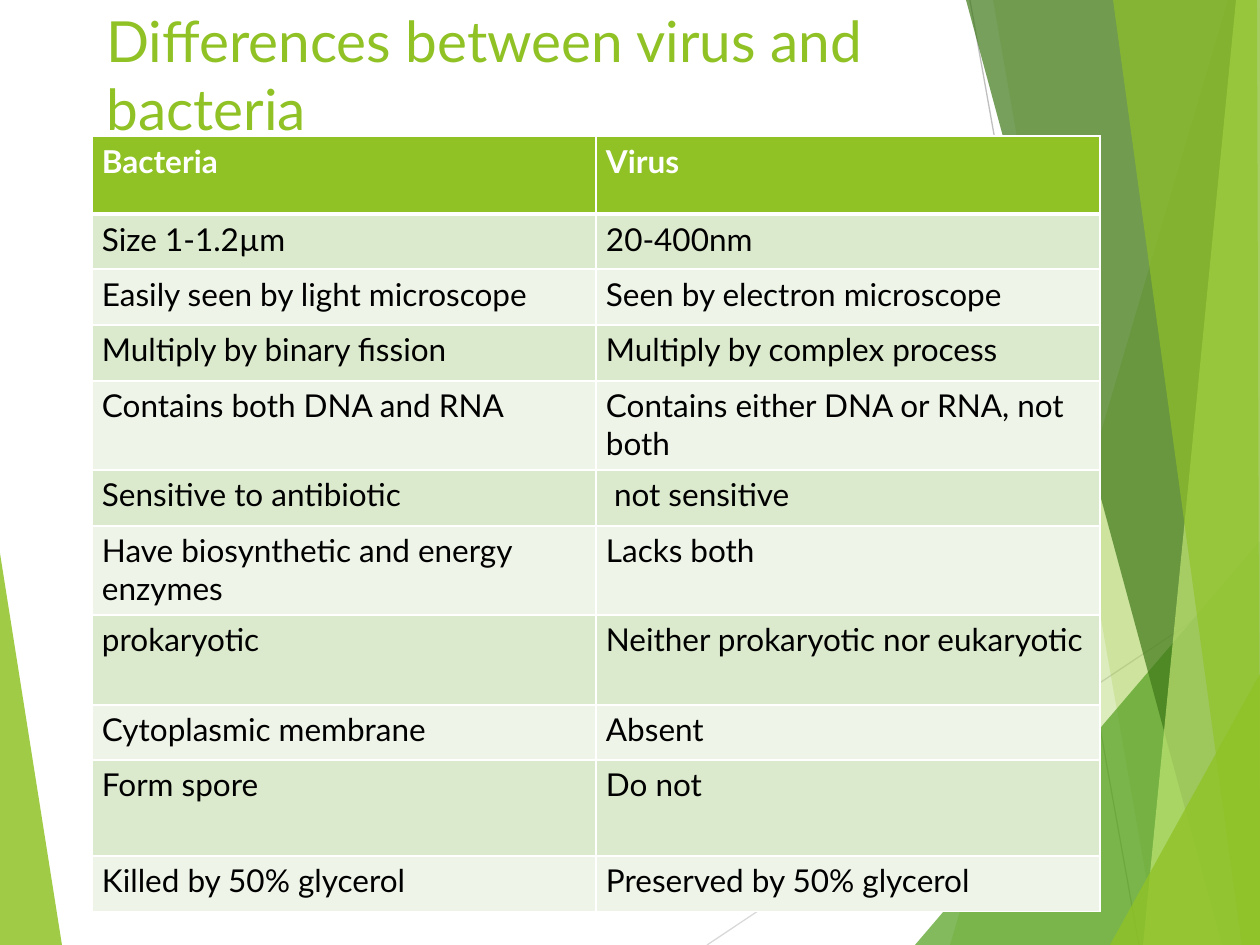
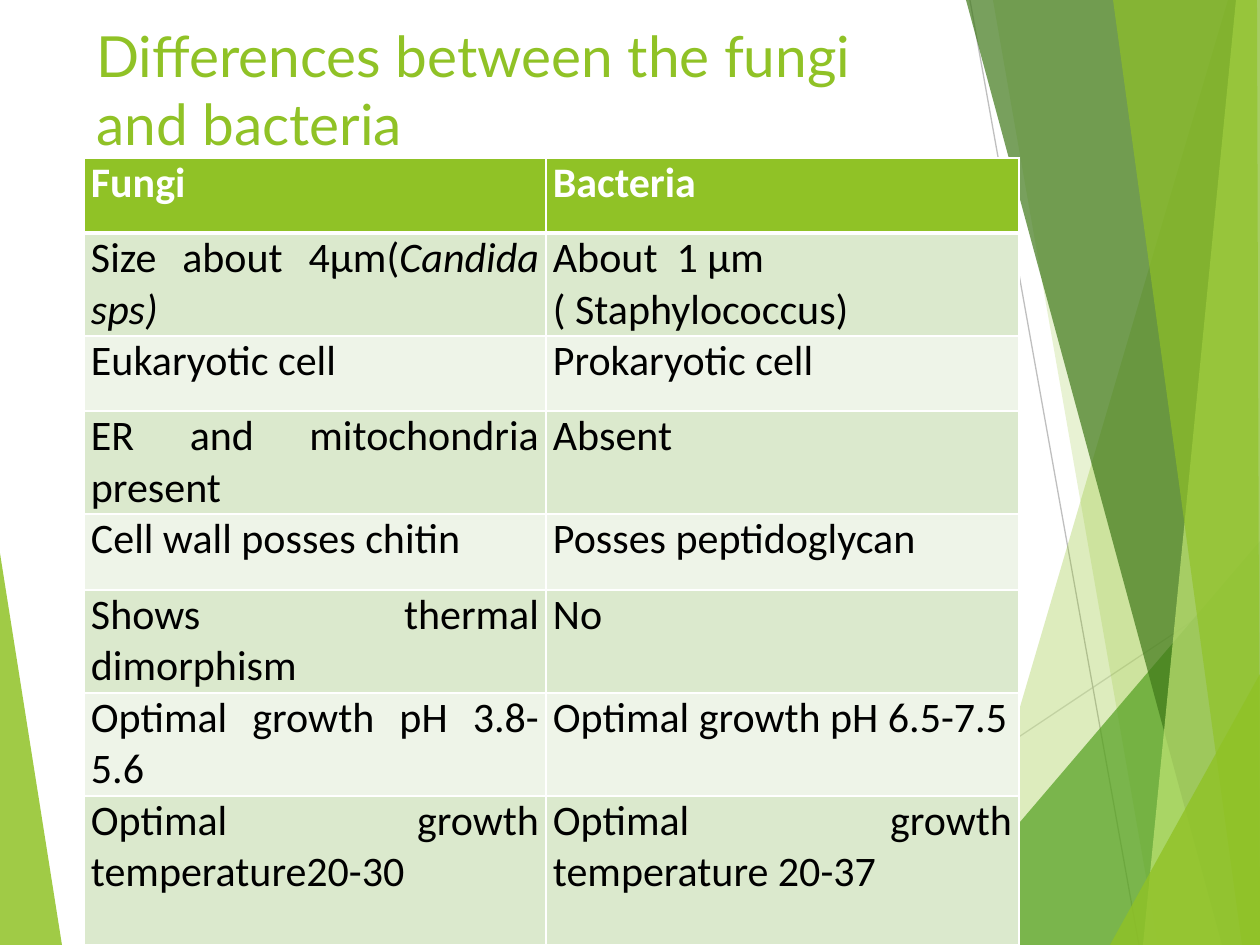
from lxml import etree
from pptx import Presentation
from pptx.dml.color import RGBColor
from pptx.enum.shapes import MSO_CONNECTOR
from pptx.enum.text import MSO_ANCHOR, PP_ALIGN
from pptx.oxml.ns import qn
from pptx.util import Emu, Pt

STRAIGHT = MSO_CONNECTOR.STRAIGHT
TOP = MSO_ANCHOR.TOP
LEFT, JUSTIFY = PP_ALIGN.LEFT, PP_ALIGN.JUSTIFY

EMU_PER_PX = 914400 / 126
PAGE_BOX = (0, 0, 1260, 945)

GREEN, LEAF, FOREST, LIME = "90C226", "54A021", "3F7819", "C0E474"
WHITE, BLACK = "FFFFFF", "000000"
BANDS = ("DBE9CD", "EEF4E8")

LEFT_WEDGE = (GREEN, 85, [(0, 553), (62, 945), (0, 945)])
RAYS = [
    ("D9D9D9", (707, 945), (1260, 576)),
    ("BFBFBF", (970, 0), (1139, 945)),
]
RIGHT_FACETS = [
    (GREEN, 30, [(1228, 0), (950, 945), (1260, 945), (1260, 0)]),
    (GREEN, 20, [(993, 0), (1158, 945), (1260, 945), (1260, 0)]),
    (LEAF, 72, [(915, 945), (1260, 541), (1260, 945)]),
    (FOREST, 70, [(966, 0), (1222, 945), (1260, 945), (1260, 0)]),
    (LIME, 70, [(1236, 0), (1143, 945), (1260, 945), (1260, 0)]),
    (GREEN, 65, [(1113, 0), (1242, 945), (1260, 945), (1257, 0)]),
    (GREEN, 80, [(1110, 945), (1260, 674), (1260, 945)]),
]

VIRUS_SLIDE = {
    "title": "Differences between virus and bacteria",
    "title_box": (94, 0, 892, 136),
    "table_box": (92, 136, 1008, 776),
    "columns": [504, 504],
    "heights": [78, 55, 56, 56, 89, 56, 89, 90, 55, 96, 56],
    "font": {"name": "Lato", "size": Pt(18)},
    "align": LEFT,
    "insets": (10, 6),
    "rows": [
        ("Bacteria", "Virus"),
        ("Size 1-1.2µm", "20-400nm"),
        ("Easily seen by light microscope", "Seen by electron microscope"),
        ("Multiply by binary fission", "Multiply by complex process"),
        ("Contains both DNA and RNA", "Contains either DNA or RNA, not both"),
        ("Sensitive to antibiotic", " not sensitive"),
        ("Have biosynthetic and energy enzymes", "Lacks both"),
        ("prokaryotic", "Neither prokaryotic nor eukaryotic"),
        ("Cytoplasmic membrane", "Absent"),
        ("Form spore", "Do not"),
        ("Killed by 50% glycerol", "Preserved by 50% glycerol"),
    ],
}
FUNGI_SLIDE = {
    "title": "Differences between the fungi and bacteria",
    "title_box": (84, 15, 874, 136),
    "table_box": (84, 158, 935, 787),
    "columns": [462, 473],
    "heights": [75, 103, 75, 103, 76, 103, 103, 149],
    "font": {"name": "Calibri", "size": Pt(24)},
    "align": JUSTIFY,
    "insets": (7, 0),
    "rows": [
        ("Fungi", "Bacteria"),
        ("Size about 4µm(*Candida sps)", "About  1 µm\n( Staphylococcus)"),
        ("Eukaryotic cell", "Prokaryotic cell"),
        ("ER and mitochondria present", "Absent"),
        ("Cell wall posses chitin", "Posses peptidoglycan"),
        ("Shows thermal dimorphism", "No"),
        ("Optimal growth pH 3.8-5.6", "Optimal growth pH 6.5-7.5"),
        ("Optimal growth temperature20-30", "Optimal growth temperature 20-37"),
    ],
}


def px(length):
    """Turn px into EMU."""
    return Emu(round(length * EMU_PER_PX))


def color(code):
    """Turn a hex string into a colour."""
    return RGBColor.from_string(code)


def apply_format(target, values):
    """Set each attribute named in a dict of format values."""
    for name, value in values.items():
        setattr(target, name, value)


def write_text(frame, text, font, code, align):
    """Write one paragraph per line; an asterisk switches italics."""
    for index, line in enumerate(text.split("\n")):
        para = frame.add_paragraph() if index else frame.paragraphs[0]
        para.alignment = align
        for part, words in enumerate(line.split("*")):
            span = para.add_run()
            span.text = words
            apply_format(span.font, {**font, "italic": part % 2 == 1})
            span.font.color.rgb = color(code)


def add_facet(page, box, code, opacity, points):
    """Draw a translucent polygon inside the box."""
    builder = page.shapes.build_freeform(*points[0], scale=EMU_PER_PX)
    builder.add_line_segments(points[1:], close=True)
    facet = builder.convert_to_shape(px(box[0]), px(box[1]))
    facet.shadow.inherit = False
    facet.fill.solid()
    facet.fill.fore_color.rgb = color(code)
    facet.line.fill.background()
    tint = facet.element.spPr.find(".//" + qn("a:srgbClr"))
    etree.SubElement(tint, qn("a:alpha"), val=str(opacity * 1000))


def add_ray(page, box, code, start, end):
    """Draw a thin line inside the box."""
    left, top = box[:2]
    ends = (left + start[0], top + start[1], left + end[0], top + end[1])
    ray = page.shapes.add_connector(STRAIGHT, *map(px, ends))
    ray.line.color.rgb = color(code)
    ray.line.width = Pt(0.75)
    etree.SubElement(ray.element.spPr, qn("a:effectLst"))


def add_backdrop(page, box):
    """Draw the wedge, rays and facets shared by all slides."""
    add_facet(page, box, *LEFT_WEDGE)
    for ray in RAYS:
        add_ray(page, box, *ray)
    for facet in RIGHT_FACETS:
        add_facet(page, box, *facet)


def add_title(page, box, text):
    """Write the slide title in the box."""
    frame = page.shapes.add_textbox(*map(px, box)).text_frame
    apply_format(frame, {"word_wrap": True, "vertical_anchor": TOP})
    write_text(frame, text, {"name": "Lato", "size": Pt(32.4)}, GREEN, LEFT)


def add_borders(cell, top, bottom):
    """Give a cell white borders, with top and bottom widths in points."""
    properties = cell._tc.get_or_add_tcPr()
    for side, width in (("L", 1), ("R", 1), ("T", top), ("B", bottom)):
        border = etree.SubElement(properties, qn("a:ln" + side), w=str(Pt(width)))
        fill = etree.SubElement(border, qn("a:solidFill"))
        etree.SubElement(fill, qn("a:srgbClr"), val=WHITE)


def add_comparison(page, box, content):
    """Draw the two-column comparison table in the box."""
    rows = content["rows"]
    table = page.shapes.add_table(len(rows), len(rows[0]), *map(px, box)).table
    for column, width in zip(table.columns, content["columns"]):
        column.width = px(width)
    side, edge = map(px, content["insets"])
    margins = {"margin_left": side, "margin_right": side,
               "margin_top": edge, "margin_bottom": edge}
    for index, texts in enumerate(rows):
        header = index == 0
        table.rows[index].height = px(content["heights"][index])
        for column, text in enumerate(texts):
            cell = table.cell(index, column)
            apply_format(cell, margins)
            add_borders(cell, 3 if index == 1 else 1, 3 if header else 1)
            cell.fill.solid()
            cell.fill.fore_color.rgb = color(GREEN if header else BANDS[(index - 1) % 2])
            font = {**content["font"], "bold": header}
            write_text(cell.text_frame, text, font, WHITE if header else BLACK, content["align"])


def add_slide(deck, content):
    """Build one comparison slide."""
    page = deck.slides.add_slide(deck.slide_layouts[6])
    add_backdrop(page, PAGE_BOX)
    add_title(page, content["title_box"], content["title"])
    add_comparison(page, content["table_box"], content)


def main():
    """Build and save the deck."""
    deck = Presentation()
    apply_format(deck, {"slide_width": px(PAGE_BOX[2]), "slide_height": px(PAGE_BOX[3])})
    for content in (VIRUS_SLIDE, FUNGI_SLIDE):
        add_slide(deck, content)
    deck.save("out.pptx")


if __name__ == "__main__":
    main()
